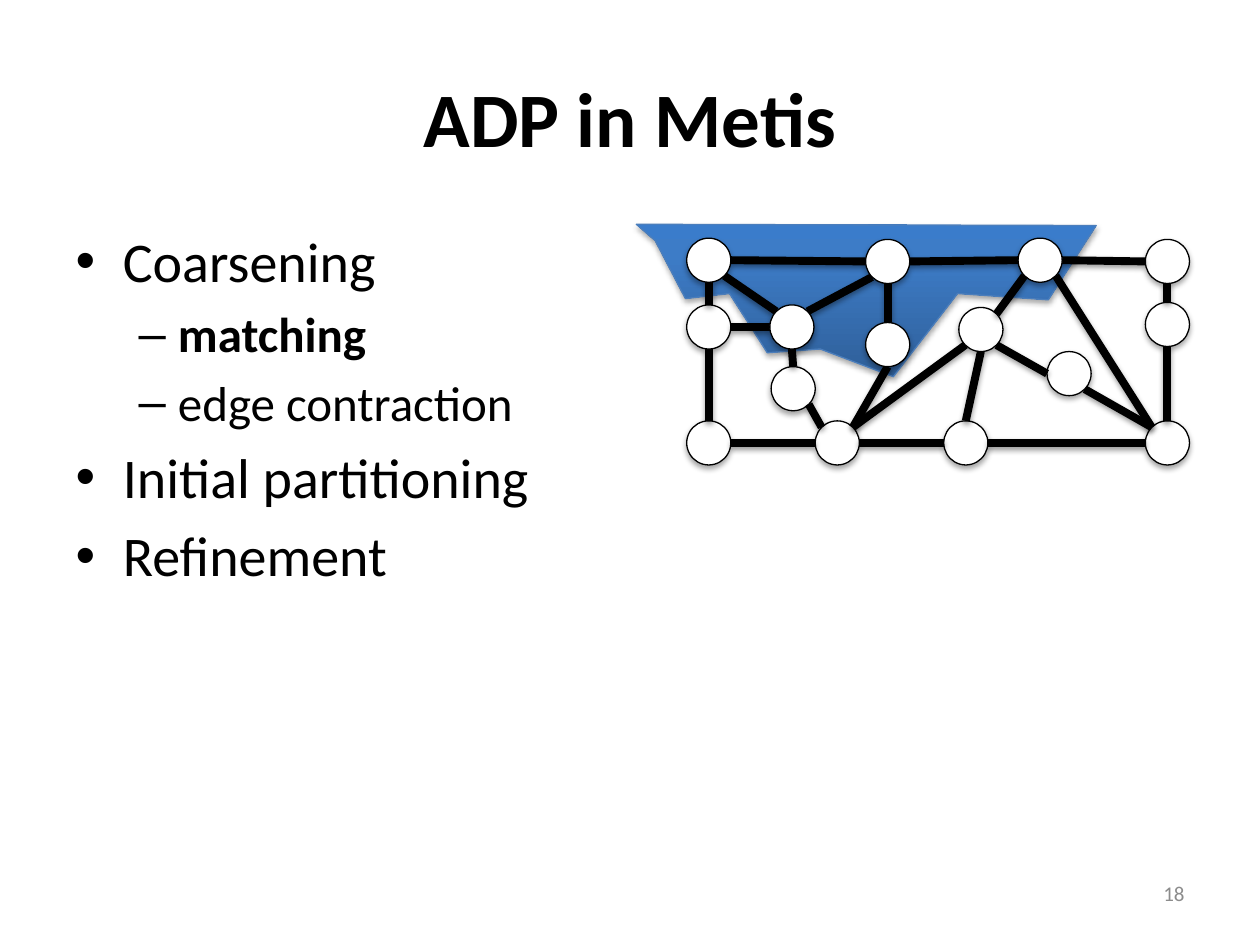
from copy import deepcopy
from math import cos, radians, sin

from lxml import etree
from pptx import Presentation
from pptx import util as u
from pptx.dml.color import RGBColor
from pptx.enum import shapes, text
from pptx.oxml import ns

SIZE = 0.35  # node diameter
SIDES = {"e": 0, "se": 45, "s": 90, "sw": 135,
         "w": 180, "nw": 225, "n": 270, "ne": 315}

# Node corners: those under the edges and those over them
LOW = {"d": (9.09, 1.9), "e": (5.45, 2.42), "h": (7.61, 2.44),
       "i": (9.09, 2.4), "j": (6.12, 2.91), "k": (8.31, 2.79),
       "l": (5.45, 3.34), "m": (6.47, 3.34), "n": (7.49, 3.34),
       "o": (9.09, 3.34)}
TOP = {"a": (5.45, 1.89), "b": (6.87, 1.9), "c": (8.08, 1.89),
       "f": (6.11, 2.42), "g": (6.87, 2.56)}
NODES = {**LOW, **TOP}

# Edges: node and side at each end
EDGES = """a e b w, a s e n, e s l n, m w l e, n w m e, o w n e,
    f w e e, f nw a se, f ne b sw, b e c w, c e d w, i n d s,
    o n i s, o nw c se, f s j n, m nw j se, g n b s, m ne g s,
    h ne c sw, h sw m ne, h s n n, h se k w, k se o nw"""

# Highlighted part of the graph
AREA = [(5.2, 1.91), (5.44, 2.37), (5.79, 2.33), (6.09, 2.8), (6.51, 2.77),
        (7.09, 2.99), (7.6, 2.33), (8.32, 2.38), (8.7, 1.79), (5.05, 1.78)]
BLUES = [(0, "2F5F99"), (0.8, "3D7CC7"), (1, "3A7CCB")]

ITEMS = [("Coarsening", 0), ("matching", 1), ("edge contraction", 1),
         ("Initial partitioning", 0), ("Refinement", 0)]


def color(code):
    return RGBColor.from_string(code)


def point(node, side):
    """Spot on the rim of a node."""
    left, top = NODES[node]
    turn, half = radians(SIDES[side]), SIZE / 2
    return (u.Inches(left + half + half * cos(turn)),
            u.Inches(top + half + half * sin(turn)))


class Deck:
    font = "Calibri"
    ink = "000000"

    def __init__(self, slide):
        self.slide = slide
        self.shapes = slide.shapes

    def style(self, para, size, bold=False, ink=None):
        for run in para.runs:
            font = run.font
            font.name, font.size, font.bold = self.font, u.Pt(size), bold
            font.color.rgb = color(ink or self.ink)

    def place(self, shape, left, top, width, height):
        shape.left, shape.top = u.Inches(left), u.Inches(top)
        shape.width, shape.height = u.Inches(width), u.Inches(height)

    def shade(self, shape, dist, alpha):
        """Soft shadow straight below the shape."""
        tag = ns.qn
        effect = etree.SubElement(shape._element.spPr, tag("a:effectLst"))
        outer = etree.SubElement(effect, tag("a:outerShdw"), blurRad="40000",
                                 dist=str(dist), dir="5400000", rotWithShape="0")
        tint = etree.SubElement(outer, tag("a:srgbClr"), val=self.ink)
        etree.SubElement(tint, tag("a:alpha"), val=str(alpha * 1000))

    def line(self, shape, width, ink):
        shape.line.width = u.Pt(width)
        shape.line.color.rgb = color(ink)

    def title(self, words):
        shape = self.shapes.title
        self.place(shape, 0.5, 0.3, 9, 1.25)
        shape.text_frame.text = words
        self.style(shape.text_frame.paragraphs[0], 44, True)

    def list(self, items):
        shape = self.slide.placeholders[1]
        self.place(shape, 0.5, 1.75, 4.42, 4.95)
        frame = shape.text_frame
        frame.text = "\n".join(words for words, _ in items)
        for para, (words, level) in zip(frame.paragraphs, items):
            para.level = level
            self.style(para, 28 if level else 32, words == "matching")

    def number(self, words):
        box = self.shapes.add_textbox(u.Inches(7.17), u.Inches(6.83),
                                      u.Inches(2.33), u.Inches(0.52))
        frame = box.text_frame
        frame.word_wrap = True
        frame.vertical_anchor = text.MSO_ANCHOR.MIDDLE
        frame.text = words
        para = frame.paragraphs[0]
        para.alignment = text.PP_ALIGN.RIGHT
        self.style(para, 12, ink="8C8C8C")

    def area(self, spots):
        first, *rest = [(u.Inches(x), u.Inches(y)) for x, y in spots]
        pen = self.shapes.build_freeform(*first)
        pen.add_line_segments(rest, close=True)
        shape = pen.convert_to_shape()
        shape.fill.gradient()
        shape.fill.gradient_angle = 90
        stops = shape._element.spPr.find(".//" + ns.qn("a:gsLst"))
        stops.append(deepcopy(stops[-1]))
        for stop, (place, blue) in zip(shape.fill.gradient_stops, BLUES):
            stop.position = place
            stop.color.rgb = color(blue)
        self.line(shape, 0.75, "4B7EBC")
        self.shade(shape, 23000, 35)

    def node(self, left, top):
        shape = self.shapes.add_shape(shapes.MSO_SHAPE.OVAL, 0, 0, 0, 0)
        self.place(shape, left, top, SIZE, SIZE)
        shape.fill.solid()
        shape.fill.fore_color.rgb = color("FFFFFF")
        self.line(shape, 0.75, self.ink)
        self.shade(shape, 23000, 35)

    def edge(self, start, end):
        shape = self.shapes.add_connector(shapes.MSO_CONNECTOR.STRAIGHT,
                                          *start, *end)
        self.line(shape, 4.5, self.ink)
        self.shade(shape, 20000, 38)


def main():
    show = Presentation()
    show.slide_width, show.slide_height = u.Inches(10), u.Inches(7.5)
    deck = Deck(show.slides.add_slide(show.slide_layouts[1]))

    # Text
    deck.title("ADP in Metis")
    deck.list(ITEMS)
    deck.number("18")

    # Graph
    deck.area(AREA)
    for spot in LOW.values():
        deck.node(*spot)
    for edge in EDGES.split(","):
        one, out, two, into = edge.split()
        deck.edge(point(one, out), point(two, into))
    for spot in TOP.values():
        deck.node(*spot)

    show.save("out.pptx")


if __name__ == "__main__":
    main()
